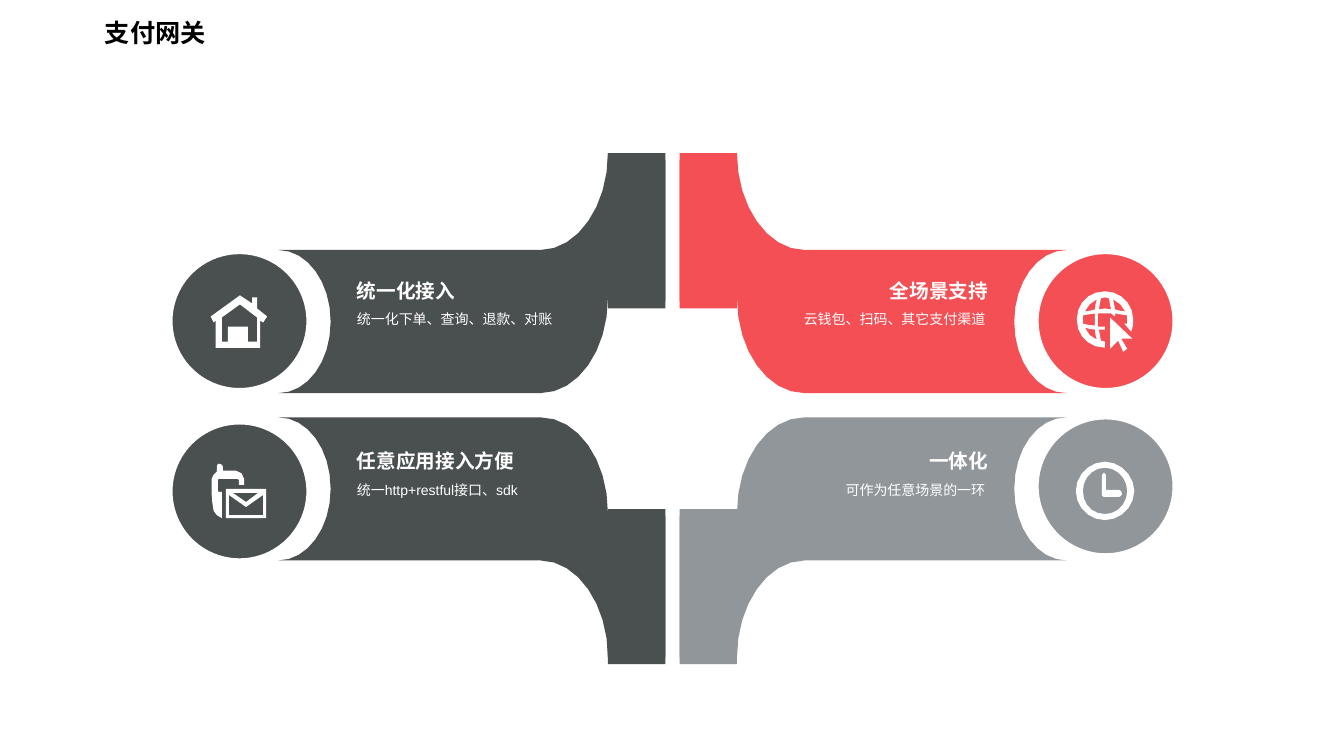
from dataclasses import dataclass

from pptx import Presentation
from pptx.dml.color import RGBColor
from pptx.enum.shapes import MSO_SHAPE
from pptx.enum.text import MSO_ANCHOR, MSO_AUTO_SIZE, PP_ALIGN
from pptx.util import Inches, Pt

TITLE = "支付网关"

# Outlines are lists of contours; a step is a point (x, y) or a Bézier (x1, y1, x2, y2, x, y).
HOUSE = [
    [(2.65, 3.14), (2.55, 3.06), (2.55, 2.95), (2.5, 2.95), (2.5, 3.01), (2.38, 2.93),
     (2.09, 3.14), (2.12, 3.2), (2.14, 3.18), (2.14, 3.45), (2.58, 3.45), (2.58, 3.18), (2.61, 3.2)],
    [(2.55, 3.39), (2.46, 3.39), (2.46, 3.24), (2.26, 3.24), (2.26, 3.39), (2.2, 3.39),
     (2.2, 3.15), (2.38, 3.02), (2.55, 3.15)],
]
ENVELOPE = [
    [(2.24, 4.85), (2.24, 5.14), (2.64, 5.14), (2.64, 4.85)],
    [(2.56, 4.89), (2.44, 4.98), (2.31, 4.89)],
    [(2.61, 5.11), (2.27, 5.11), (2.27, 4.91), (2.44, 5.03), (2.61, 4.91)],
]
PHONE = [
    [(2.16, 4.87), (2.16, 4.76), (2.17, 4.75), (2.35, 4.75), (2.37, 4.76), (2.37, 4.81),
     (2.42, 4.81), (2.42, 4.75), (2.42, 4.71, 2.38, 4.67, 2.34, 4.67), (2.21, 4.67), (2.21, 4.63),
     (2.21, 4.62, 2.2, 4.6, 2.17, 4.6), (2.16, 4.6, 2.15, 4.62, 2.15, 4.63), (2.15, 4.68),
     (2.13, 4.7, 2.1, 4.72, 2.1, 4.75), (2.1, 4.91), (2.1, 4.96, 2.11, 5.02, 2.12, 5.07),
     (2.13, 5.1, 2.17, 5.13, 2.2, 5.14), (2.2, 4.88), (2.17, 4.88)],
]
POINTER = [
    [(11.01, 3.15), (11.01, 3.46), (11.09, 3.38), (11.14, 3.49), (11.18, 3.46), (11.12, 3.36),
     (11.23, 3.36)],
]
GLOBE = [
    [(11.24, 3.17), (11.24, 3.01, 11.11, 2.89, 10.96, 2.89), (10.8, 2.89, 10.68, 3.01, 10.68, 3.17),
     (10.68, 3.33, 10.8, 3.45, 10.96, 3.45), (10.96, 3.39), (10.92, 3.38),
     (10.92, 3.35, 10.9, 3.32, 10.9, 3.27), (10.96, 3.27), (10.96, 3.24), (10.89, 3.24),
     (10.89, 3.11), (11.02, 3.11), (11.06, 3.14), (11.06, 3.11), (11.18, 3.13), (11.18, 3.21),
     (11.15, 3.21), (11.22, 3.29), (11.24, 3.25, 11.24, 3.21, 11.24, 3.17)],
    [(10.88, 2.97), (10.87, 3, 10.86, 3.04, 10.86, 3.07), (10.82, 3.08, 10.79, 3.09, 10.76, 3.09),
     (10.78, 3.04, 10.83, 2.99, 10.88, 2.97)],
    [(10.88, 3.37), (10.83, 3.35, 10.78, 3.31, 10.76, 3.25),
     (10.79, 3.26, 10.82, 3.27, 10.86, 3.27), (10.86, 3.31, 10.87, 3.34, 10.88, 3.37)],
    [(10.86, 3.23), (10.81, 3.23, 10.77, 3.22, 10.74, 3.21), (10.74, 3.13),
     (10.77, 3.12, 10.81, 3.12, 10.86, 3.11)],
    [(10.96, 3.06), (10.9, 3.07), (10.9, 3.02, 10.92, 2.98, 10.92, 2.96), (10.96, 2.95),
     (11, 2.96), (11, 2.98, 11.01, 3.02, 11.02, 3.07)],
    [(11.06, 3.07), (11.05, 3.04, 11.05, 3, 11.04, 2.97), (11.09, 2.99, 11.14, 3.04, 11.16, 3.09),
     (11.13, 3.09, 11.09, 3.08, 11.06, 3.07)],
]
CLOCK_RING = [
    [(10.96, 4.58), (10.8, 4.58, 10.67, 4.72, 10.67, 4.87), (10.67, 5.03, 10.8, 5.16, 10.96, 5.16),
     (11.11, 5.16, 11.25, 5.03, 11.25, 4.87), (11.25, 4.72, 11.11, 4.58, 10.96, 4.58)],
    [(10.96, 5.1), (10.83, 5.1, 10.74, 5, 10.74, 4.87), (10.74, 4.75, 10.83, 4.64, 10.96, 4.64),
     (11.08, 4.64, 11.18, 4.75, 11.18, 4.87), (11.18, 5, 11.08, 5.1, 10.96, 5.1)],
]
CLOCK_HANDS = [
    [(11.1, 4.86), (10.97, 4.86), (10.97, 4.72), (10.97, 4.71, 10.96, 4.69, 10.95, 4.69),
     (10.94, 4.69, 10.93, 4.71, 10.93, 4.72), (10.93, 4.91),
     (10.93, 4.92, 10.94, 4.93, 10.95, 4.93), (11.1, 4.93),
     (11.11, 4.93, 11.13, 4.91, 11.13, 4.9), (11.13, 4.88, 11.11, 4.86, 11.1, 4.86)],
]

# Offsets from the centre, pointing outwards
ARM = [(0.64, 1.07), (0.64, 0.54, 0.94, 0.12, 1.31, 0.12), (3.91, 0.12),
       (3.62, 0.12, 3.39, 0.43, 3.39, 0.83), (3.39, 1.22, 3.62, 1.54, 3.91, 1.54), (1.31, 1.54),
       (0.94, 1.54, 0.64, 1.98, 0.64, 2.5)]

# heading, detail, colour, horizontal side, vertical side, disc top, icon
FEATURES = [
    ("统一化接入", "统一化下单、查询、退款、对账", "dark", -1, -1, 2.49, [HOUSE]),
    ("任意应用接入方便", "统一http+restful接口、sdk", "dark", -1, 1, 4.18, [ENVELOPE, PHONE]),
    ("全场景支持", "云钱包、扫码、其它支付渠道", "red", 1, -1, 2.49, [POINTER, GLOBE]),
    ("一体化", "可作为任意场景的一环", "grey", 1, 1, 4.13, [CLOCK_RING, CLOCK_HANDS]),
]


@dataclass(frozen=True)
class Theme:
    dark: RGBColor = RGBColor(0x4A, 0x4F, 0x4F)
    red: RGBColor = RGBColor(0xF4, 0x4F, 0x54)
    grey: RGBColor = RGBColor(0x91, 0x96, 0x9B)
    white: RGBColor = RGBColor(0xFF, 0xFF, 0xFF)
    black: RGBColor = RGBColor(0, 0, 0)
    font: str = "Arial"
    title_font: str = "Noto Sans CJK SC"
    title_size: int = 18
    heading_size: int = 14
    detail_size: int = 10


THEME = Theme()
CENTRE_X, CENTRE_Y = 6.67, 4.02
STEM_GAP, STEM_WIDTH, STEM_HEIGHT, STEM_SHIFT = 0.07, 0.57, 1.47, 0.07
STEM_REACH = 2.5
DISC = 1.39
DISC_LEFT = {-1: 1.68, 1: 10.27}
TEXT_LEFT = {-1: 3.07, 1: 7.08}
TEXT_WIDTH = {-1: 3.15, 1: 3.19}
TEXT_TOP = {-1: 2.71, 1: 4.4}
HEADING_INSET = {-1: 0.47, 1: 0.47}
DETAIL_INSET = {-1: 0.47, 1: 0.5}
INNER_INSET = 0.39
HEADING_HEIGHT, DETAIL_HEIGHT = 0.34, 0.61


def flatten(contour):
    """Turn a contour's Bézier steps into straight segments, more of them on longer curves."""
    points = [contour[0]]
    for step in contour[1:]:
        if len(step) == 2:
            points.append(step)
            continue
        x0, y0 = points[-1]
        x1, y1, x2, y2, x3, y3 = step
        span = max(abs(x3 - x0), abs(y3 - y0))
        count = 2 if span < 0.2 else 5 if span < 0.35 else 8
        for i in range(1, count + 1):
            t = i / count
            a, b, c, d = (1 - t) ** 3, 3 * t * (1 - t) ** 2, 3 * t * t * (1 - t), t ** 3
            points.append((a * x0 + b * x1 + c * x2 + d * x3, a * y0 + b * y1 + c * y2 + d * y3))
    return points


def paint(shape, color):
    shape.shadow.inherit = False
    shape.fill.solid()
    shape.fill.fore_color.rgb = color
    shape.line.fill.background()


def add_outline(slide, contours, color):
    outlines = [[(Inches(x), Inches(y)) for x, y in flatten(contour)] for contour in contours]
    builder = slide.shapes.build_freeform(*outlines[0][0])
    builder.add_line_segments(outlines[0][1:])
    for outline in outlines[1:]:
        builder.move_to(*outline[0])
        builder.add_line_segments(outline[1:])
    paint(builder.convert_to_shape(), color)


def add_preset(slide, kind, left, top, width, height, color):
    shape = slide.shapes.add_shape(kind, Inches(left), Inches(top), Inches(width), Inches(height))
    paint(shape, color)
    return shape


def style(paragraph, font, size, color, bold=False):
    paragraph.font.name, paragraph.font.size, paragraph.font.bold = font, Pt(size), bold
    paragraph.font.color.rgb = color


def add_label(slide, text, side, top, height, outer_inset, size, bold):
    label = slide.shapes.add_textbox(Inches(TEXT_LEFT[side]), Inches(top),
                                     Inches(TEXT_WIDTH[side]), Inches(height))
    frame = label.text_frame
    frame.word_wrap = True
    frame.margin_top = frame.margin_bottom = 0
    insets = (outer_inset[side], INNER_INSET)[::-side]
    frame.margin_left, frame.margin_right = map(Inches, insets)
    frame.text = text
    paragraph = frame.paragraphs[0]
    paragraph.alignment = PP_ALIGN.LEFT if side < 0 else PP_ALIGN.RIGHT
    style(paragraph, THEME.font, size, THEME.white, bold)
    return frame


def add_feature(slide, heading, detail, color_name, side, level, disc_top, icon):
    color = getattr(THEME, color_name)
    arm = [tuple(CENTRE_Y + level * v if i % 2 else CENTRE_X + side * v for i, v in enumerate(step))
           for step in ARM]
    add_outline(slide, [arm], color)
    stem_left = CENTRE_X + side * (STEM_GAP + STEM_WIDTH / 2) - STEM_WIDTH / 2
    stem_top = CENTRE_Y + level * (STEM_REACH - STEM_HEIGHT / 2) - STEM_HEIGHT / 2
    for shift in (STEM_SHIFT, 0):
        add_preset(slide, MSO_SHAPE.RECTANGLE, stem_left, stem_top + shift,
                   STEM_WIDTH, STEM_HEIGHT, color)
    disc = add_preset(slide, MSO_SHAPE.OVAL, DISC_LEFT[side], disc_top, DISC, DISC, color)
    disc.line.color.rgb, disc.line.width = THEME.white, Pt(4.5)
    for part in icon:
        add_outline(slide, part, THEME.white)
    top = TEXT_TOP[level]
    heading_frame = add_label(slide, heading, side, top, HEADING_HEIGHT, HEADING_INSET,
                              THEME.heading_size, True)
    heading_frame.vertical_anchor = MSO_ANCHOR.MIDDLE
    detail_frame = add_label(slide, detail, side, top + HEADING_HEIGHT, DETAIL_HEIGHT,
                             DETAIL_INSET, THEME.detail_size, False)
    detail_frame.paragraphs[0].line_spacing = 1.2


def add_title(slide):
    title = slide.shapes.title
    title.left, title.top, title.width, title.height = map(Inches, (0.94, 0.03, 3.56, 0.49))
    frame = title.text_frame
    frame.text = TITLE
    frame.word_wrap = True
    frame.auto_size = MSO_AUTO_SIZE.SHAPE_TO_FIT_TEXT
    frame.vertical_anchor = MSO_ANCHOR.TOP
    paragraph = frame.paragraphs[0]
    paragraph.alignment, paragraph.line_spacing = PP_ALIGN.LEFT, 1.3
    style(paragraph, THEME.title_font, THEME.title_size, THEME.black, True)


def main():
    deck = Presentation()
    deck.slide_width, deck.slide_height = Inches(13.33), Inches(7.5)
    slide = deck.slides.add_slide(deck.slide_layouts[5])
    for feature in FEATURES:
        add_feature(slide, *feature)
    add_title(slide)
    deck.save("out.pptx")


if __name__ == "__main__":
    main()
